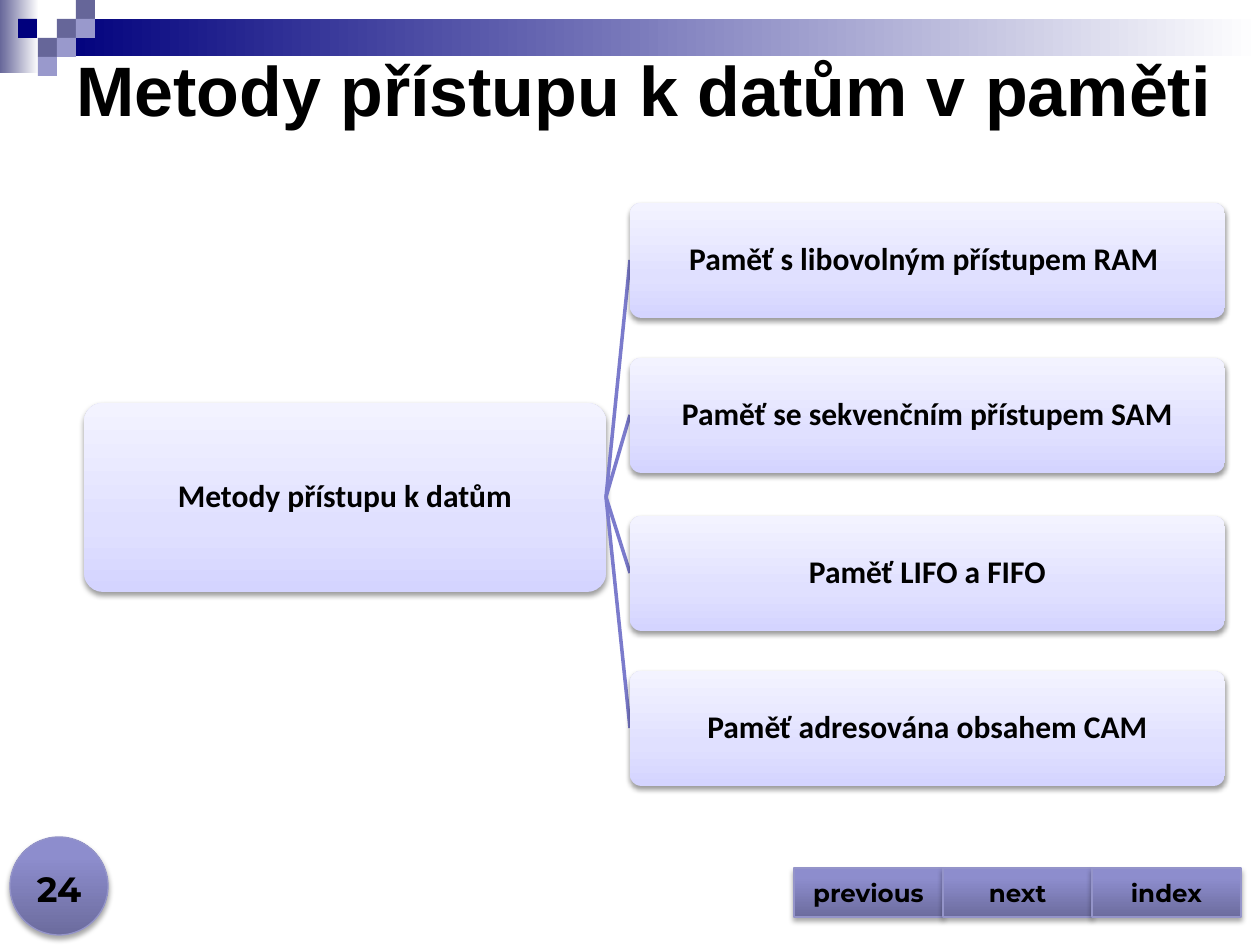
from dataclasses import dataclass

from lxml import etree
from pptx import Presentation
from pptx.dml.color import RGBColor
from pptx.enum.shapes import MSO_CONNECTOR, MSO_SHAPE
from pptx.enum.text import MSO_ANCHOR, PP_ALIGN
from pptx.oxml.ns import qn
from pptx.util import Pt

EMU_PER_PX = 914400 / 126

BLACK = RGBColor(0x00, 0x00, 0x00)
WHITE = RGBColor(0xFF, 0xFF, 0xFF)
NAVY = RGBColor(0x00, 0x00, 0x7D)
SLATE = RGBColor(0x66, 0x66, 0x99)
LAVENDER = RGBColor(0x99, 0x99, 0xCC)
BRANCH_COLOR = RGBColor(0x7B, 0x7B, 0xCC)
BUTTON_EDGE = RGBColor(0x94, 0x94, 0xC9)

RECTANGLE = MSO_SHAPE.RECTANGLE
ROUNDED = MSO_SHAPE.ROUNDED_RECTANGLE
OVAL = MSO_SHAPE.OVAL
ACTION_BUTTON = MSO_SHAPE.ACTION_BUTTON_CUSTOM
STRAIGHT = MSO_CONNECTOR.STRAIGHT
LEFT, CENTER = PP_ALIGN.LEFT, PP_ALIGN.CENTER
MIDDLE, BOTTOM = MSO_ANCHOR.MIDDLE, MSO_ANCHOR.BOTTOM


@dataclass(frozen=True)
class Area:
    left: int
    top: int
    width: int
    height: int


@dataclass(frozen=True)
class Gradient:
    """Stops are (percent, color); the angle is clockwise in degrees."""
    stops: tuple
    angle: int = 270


@dataclass(frozen=True)
class Shadow:
    blur: float
    distance: float
    opacity: int


@dataclass(frozen=True)
class Node:
    text: str
    area: Area


BUTTON_FILL = Gradient(((0, RGBColor(0x6C, 0x6C, 0x9E)),
                        (80, RGBColor(0x8D, 0x8D, 0xCD)),
                        (100, RGBColor(0x8C, 0x8C, 0xCF))))
NODE_FILL = Gradient(((0, RGBColor(0xD4, 0xD4, 0xFF)),
                      (35, RGBColor(0xE0, 0xE0, 0xFF)),
                      (100, RGBColor(0xF3, 0xF3, 0xFF))))
BUTTON_SHADOW = Shadow(3.1, 1.8, 35)
NODE_SHADOW = Shadow(3.1, 1.6, 38)

SIDE_FADE = (Area(0, 0, 39, 73), Gradient(((0, SLATE), (100, WHITE)), 0))
TOP_FADE = (Area(57, 19, 1203, 37), Gradient(((0, NAVY), (100, WHITE)), 0))
TILE = 19
TILES = ((57, 19, SLATE), (76, 0, SLATE), (76, 19, LAVENDER), (38, 38, SLATE),
         (18, 19, NAVY), (57, 38, LAVENDER), (38, 57, LAVENDER))

ROOT = Node("Metody přístupu k datům", Area(84, 403, 522, 189))
METHODS = tuple(
    Node(text, Area(630, top, 595, 115))
    for text, top in (("Paměť s libovolným přístupem RAM ", 203),
                      ("Paměť se sekvenčním přístupem SAM", 358),
                      ("Paměť LIFO a FIFO", 516),
                      ("Paměť adresována obsahem CAM", 671)))

BUTTONS = ("previous", "next", "index")
BUTTON_LEFT, BUTTON_TOP, BUTTON_WIDTH, BUTTON_HEIGHT = 794, 868, 149, 49


def px(length: int) -> int:
    return round(length * EMU_PER_PX)


def place(area: Area) -> tuple:
    return px(area.left), px(area.top), px(area.width), px(area.height)


def add_color(parent, color: RGBColor):
    return etree.SubElement(parent, qn("a:srgbClr"), val=str(color))


def apply_gradient(shape, gradient: Gradient) -> None:
    shape.fill.gradient()
    element = shape._element.spPr.find(qn("a:gradFill"))
    for child in list(element):
        element.remove(child)
    stop_list = etree.SubElement(element, qn("a:gsLst"))
    for percent, color in gradient.stops:
        stop = etree.SubElement(stop_list, qn("a:gs"), pos=str(percent * 1000))
        add_color(stop, color)
    etree.SubElement(element, qn("a:lin"), ang=str(gradient.angle * 60000), scaled="0")


def apply_shadow(shape, shadow: Shadow) -> None:
    effects = shape._element.spPr.find(qn("a:effectLst"))
    outer = etree.SubElement(
        effects, qn("a:outerShdw"), blurRad=str(Pt(shadow.blur)),
        dist=str(Pt(shadow.distance)), dir="5400000", rotWithShape="0")
    etree.SubElement(add_color(outer, BLACK), qn("a:alpha"), val=str(shadow.opacity * 1000))


def add_figure(slide, kind, area: Area, fill, edge=None, shadow=None):
    """Add a preset shape whose fill is an RGBColor or a Gradient."""
    shape = slide.shapes.add_shape(kind, *place(area))
    shape.shadow.inherit = False
    if isinstance(fill, Gradient):
        apply_gradient(shape, fill)
    else:
        shape.fill.solid()
        shape.fill.fore_color.rgb = fill
    if edge is None:
        shape.line.fill.background()
    else:
        shape.line.color.rgb = edge
        shape.line.width = Pt(0.75)
    if shadow is not None:
        apply_shadow(shape, shadow)
    return shape


def write_text(shape, text: str, *, size: int, font: str, align=CENTER,
               anchor=MIDDLE, inset=None, line_spacing=None) -> None:
    frame = shape.text_frame
    frame.word_wrap = True
    frame.vertical_anchor = anchor
    if inset is not None:
        frame.margin_left = frame.margin_right = px(inset)
        frame.margin_top = frame.margin_bottom = px(inset)
    para = frame.paragraphs[0]
    para.alignment = align
    if line_spacing is not None:
        para.line_spacing = line_spacing
    span = para.add_run()
    span.text = text
    span.font.size = Pt(size)
    span.font.name = font
    span.font.bold = True
    span.font.color.rgb = BLACK


def add_node(slide, node: Node) -> None:
    box = add_figure(slide, ROUNDED, node.area, NODE_FILL, shadow=NODE_SHADOW)
    box.adjustments[0] = 0.1
    write_text(box, node.text, size=18, font="Calibri", inset=1, line_spacing=0.9)


def add_branch(slide, start: Area, end: Area) -> None:
    """Join the right edge of one area to the left edge of another."""
    branch = slide.shapes.add_connector(
        STRAIGHT, px(start.left + start.width), px(start.top + start.height // 2),
        px(end.left), px(end.top + end.height // 2))
    branch.line.color.rgb = BRANCH_COLOR
    branch.line.width = Pt(2)
    etree.SubElement(branch._element.spPr, qn("a:effectLst"))


def add_header(slide) -> None:
    for area, fade in (SIDE_FADE, TOP_FADE):
        add_figure(slide, RECTANGLE, area, fade)
    for left, top, color in TILES:
        add_figure(slide, RECTANGLE, Area(left, top, TILE, TILE), color)
    title = slide.shapes.add_textbox(*place(Area(64, 39, 1196, 100)))
    write_text(title, "Metody přístupu k datům v paměti", size=40, font="Arial", align=LEFT)


def add_footer(slide) -> None:
    add_figure(slide, OVAL, Area(10, 837, 98, 98), BUTTON_FILL, BUTTON_EDGE, BUTTON_SHADOW)
    number = slide.shapes.add_textbox(*place(Area(0, 853, 118, 63)))
    write_text(number, "24", size=20, font="Montserrat", anchor=BOTTOM)
    for index, label in enumerate(BUTTONS):
        area = Area(BUTTON_LEFT + index * BUTTON_WIDTH, BUTTON_TOP, BUTTON_WIDTH, BUTTON_HEIGHT)
        button = add_figure(slide, ACTION_BUTTON, area, BUTTON_FILL, BUTTON_EDGE, BUTTON_SHADOW)
        write_text(button, label, size=14, font="Montserrat")


def main() -> None:
    deck = Presentation()
    deck.slide_width, deck.slide_height = px(1260), px(945)
    slide = deck.slides.add_slide(deck.slide_layouts[6])
    add_header(slide)
    add_footer(slide)
    add_node(slide, ROOT)
    for method in METHODS:
        add_branch(slide, ROOT.area, method.area)
        add_node(slide, method)
    deck.save("out.pptx")


if __name__ == "__main__":
    main()
